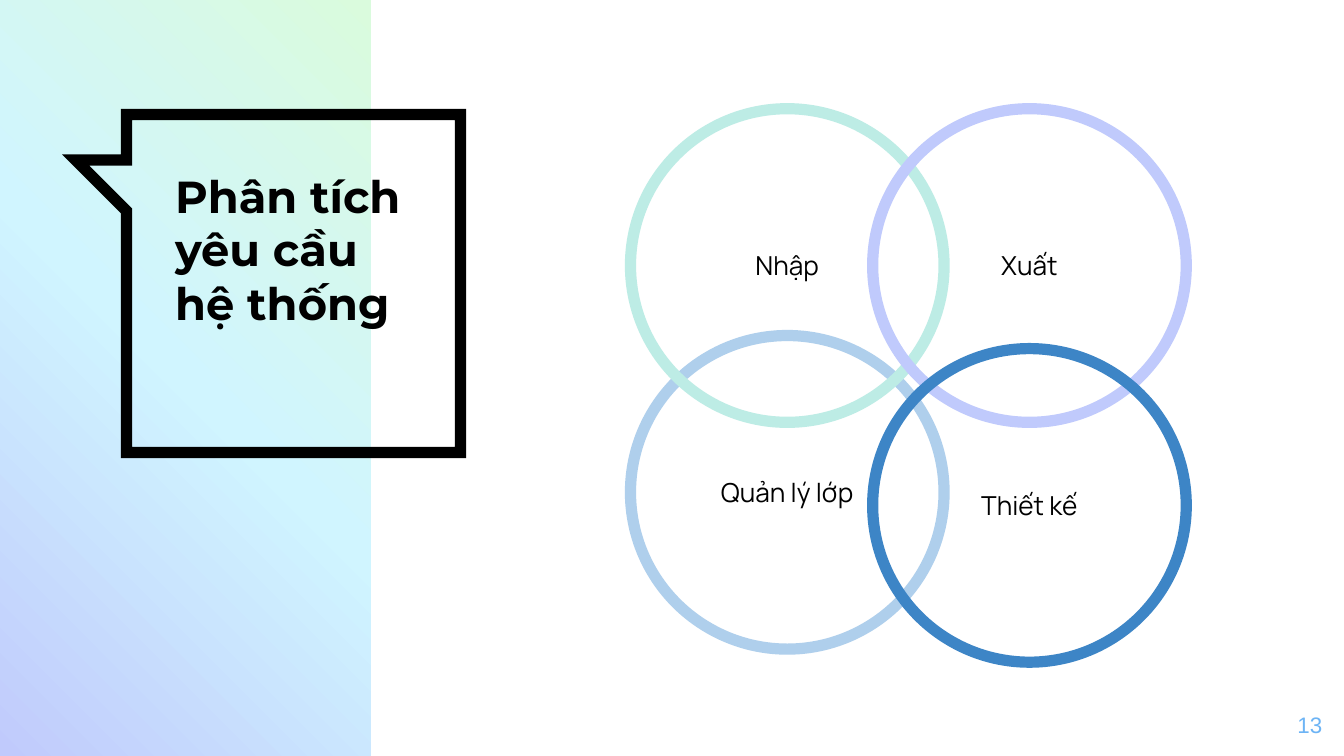
"""Build a slide with a speech-bubble title and four overlapping rings."""
import copy

import pptx
import pptx.dml.color
import pptx.enum.shapes
import pptx.enum.text
import pptx.oxml
import pptx.util

Pt = pptx.util.Pt
RGBColor = pptx.dml.color.RGBColor
MSO_SHAPE = pptx.enum.shapes.MSO_SHAPE
MSO_ANCHOR = pptx.enum.text.MSO_ANCHOR
PP_ALIGN = pptx.enum.text.PP_ALIGN

BLACK = RGBColor(0x00, 0x00, 0x00)
LAVENDER = RGBColor(0xC0, 0xCA, 0xFC)
PALE_CYAN = RGBColor(0xD0, 0xF5, 0xFF)
PALE_GREEN = RGBColor(0xDA, 0xFB, 0xDD)
LIGHT_BLUE = RGBColor(0xAF, 0xCF, 0xEC)
MINT = RGBColor(0xBD, 0xEC, 0xE5)
STRONG_BLUE = RGBColor(0x3D, 0x85, 0xC6)
SKY_BLUE = RGBColor(0x6D, 0xB4, 0xF5)


def set_text(shape, text, font_name, size, color, alignment, anchor=MSO_ANCHOR.TOP, bold=False):
    frame = shape.text_frame
    frame.word_wrap = True
    frame.vertical_anchor = anchor
    frame.margin_left = frame.margin_right = Pt(7.2)
    frame.margin_top = frame.margin_bottom = Pt(7.2)
    paragraph = frame.paragraphs[0]
    paragraph.text = text
    paragraph.alignment = alignment
    paragraph.font.name = font_name
    paragraph.font.size = Pt(size)
    paragraph.font.bold = bold
    paragraph.font.color.rgb = color


def set_outline(shape, color):
    shape.shadow.inherit = False
    shape.fill.background()
    shape.line.color.rgb = color
    shape.line.width = Pt(6)


presentation = pptx.Presentation()
presentation.slide_width = Pt(720)
presentation.slide_height = Pt(405)
slide = presentation.slides.add_slide(presentation.slide_layouts[6])
shapes = slide.shapes

panel = shapes.add_shape(MSO_SHAPE.RECTANGLE, 0, 0, Pt(198.75), Pt(405))
panel.shadow.inherit = False
panel.line.fill.background()
panel.fill.gradient()
panel.fill.gradient_angle = 45
first_stop = panel.fill.gradient_stops[0]._gs
first_stop.addnext(copy.deepcopy(first_stop))
panel_colors = [LAVENDER, PALE_CYAN, PALE_GREEN]
for index, (stop, color) in enumerate(zip(panel.fill.gradient_stops, panel_colors)):
    stop.position = index / 2
    stop.color.rgb = color

bubble_points = [(67.8, 61.4), (246.7, 61.4), (246.7, 242.4), (67.8, 242.4),
                 (67.8, 113), (40.5, 85.7), (67.8, 85.7)]
corners = [(Pt(x), Pt(y)) for x, y in bubble_points]
builder = shapes.build_freeform(*corners[0])
builder.add_line_segments(corners[1:], close=True)
bubble = builder.convert_to_shape()
set_outline(bubble, BLACK)
bubble.line._get_or_add_ln().append(pptx.oxml.parse_xml(
    '<a:miter xmlns:a="http://schemas.openxmlformats.org/drawingml/2006/main" lim="800000"/>'))

title = shapes.add_textbox(Pt(86.75), Pt(83), Pt(144.5), Pt(150.5))
set_text(title, "Phân tích yêu cầu hệ thống", "Montserrat", 24, BLACK, PP_ALIGN.LEFT, bold=True)

left_column, right_column, top_row = 337.75, 467.5, 58.25
rings = [
    ("Quản lý lớp", left_column, 179.75, LIGHT_BLUE),
    ("Nhập", left_column, top_row, MINT),
    ("Xuất", right_column, top_row, LAVENDER),
    ("Thiết kế", right_column, 186.75, STRONG_BLUE),
]
for label, left, top, color in rings:
    ring = shapes.add_shape(MSO_SHAPE.OVAL, Pt(left), Pt(top), Pt(168), Pt(168))
    set_outline(ring, color)
    set_text(ring, label, "Manrope", 14, BLACK, PP_ALIGN.CENTER, MSO_ANCHOR.MIDDLE)

page_number = shapes.add_textbox(Pt(672.25), Pt(374), Pt(43.2), Pt(31))
set_text(page_number, "13", "Arial", 12, SKY_BLUE, PP_ALIGN.RIGHT)

presentation.save("out.pptx")
